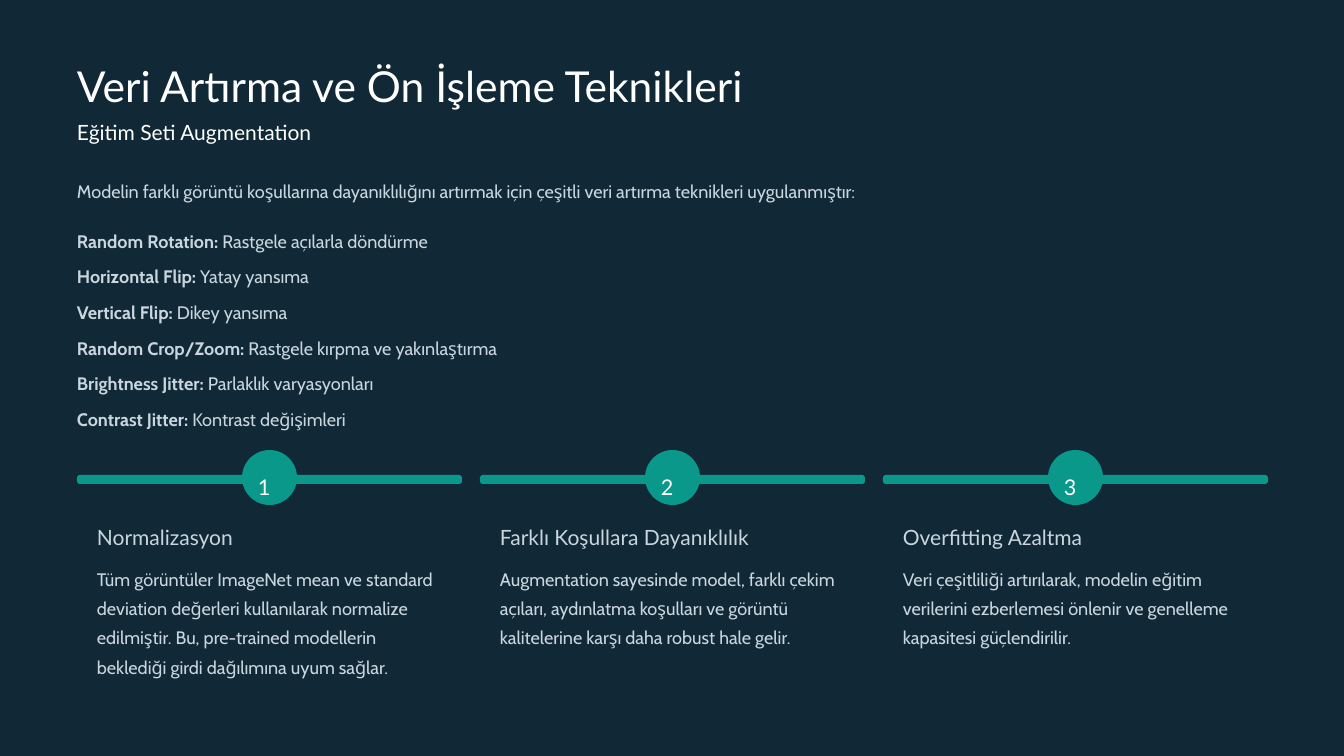
from pptx import Presentation
from pptx.dml.color import RGBColor
from pptx.enum.shapes import MSO_SHAPE
from pptx.util import Pt

PX = 914400 / 84
COLORS = {"night": "112836", "teal": "0A988B", "white": "FFFFFF", "mist": "CAD6DE"}
STYLES = {
    "title": ("Lato", 36.5, 46, "white"),
    "subtitle": ("Lato", 18, 23, "white"),
    "number": ("Lato", 18.5, 30, "white"),
    "heading": ("Lato", 18, 23, "mist"),
    "body": ("Cabin", 15.5, 25, "mist"),
}
TECHNIQUES = [
    ("Random Rotation:", " Rastgele açılarla döndürme"),
    ("Horizontal Flip:", " Yatay yansıma"),
    ("Vertical Flip:", " Dikey yansıma"),
    ("Random Crop/Zoom:", " Rastgele kırpma ve yakınlaştırma"),
    ("Brightness Jitter:", " Parlaklık varyasyonları"),
    ("Contrast Jitter:", " Kontrast değişimleri"),
]
STEPS = [
    ("Normalizasyon",
     "Tüm görüntüler ImageNet mean ve standard deviation değerleri kullanılarak "
     "normalize edilmiştir. Bu, pre-trained modellerin beklediği girdi dağılımına "
     "uyum sağlar."),
    ("Farklı Koşullara Dayanıklılık",
     "Augmentation sayesinde model, farklı çekim açıları, aydınlatma koşulları ve "
     "görüntü kalitelerine karşı daha robust hale gelir."),
    ("Overfitting Azaltma",
     "Veri çeşitliliği artırılarak, modelin eğitim verilerini ezberlemesi önlenir ve "
     "genelleme kapasitesi güçlendirilir."),
]


def color(name):
    """Return a palette colour."""
    return RGBColor.from_string(COLORS[name])


def emu(*lengths):
    """Turn pixel lengths into EMU."""
    return [round(length * PX) for length in lengths]


def add_text(slide, box, parts, style, wrap=False):
    """Write one paragraph; when it has two parts the first is bold."""
    font_name, size, leading, ink = STYLES[style]
    frame = slide.shapes.add_textbox(*emu(*box)).text_frame
    frame.word_wrap = wrap
    frame.margin_left = frame.margin_right = 0
    frame.margin_top = frame.margin_bottom = 0
    paragraph = frame.paragraphs[0]
    paragraph.line_spacing = Pt(leading)
    for index, part in enumerate(parts):
        run = paragraph.add_run()
        run.text = part
        run.font.name = font_name
        run.font.size = Pt(size)
        run.font.bold = len(parts) > 1 and index == 0
        run.font.color.rgb = color(ink)


def add_panel(slide, box, fill, rounding):
    """Draw a plain rounded rectangle."""
    panel = slide.shapes.add_shape(MSO_SHAPE.ROUNDED_RECTANGLE, *emu(*box))
    panel.adjustments[0] = rounding
    panel.shadow.inherit = False
    panel.fill.solid()
    panel.fill.fore_color.rgb = color(fill)
    panel.line.fill.background()


def add_header(slide, left, top, width):
    """Place the title, subtitle and introduction."""
    add_text(slide, (left, top, width, 54), ["Veri Artırma ve Ön İşleme Teknikleri"], "title")
    add_text(slide, (left, top + 61, width, 27), ["Eğitim Seti Augmentation"], "subtitle")
    introduction = ("Modelin farklı görüntü koşullarına dayanıklılığını artırmak için "
                    "çeşitli veri artırma teknikleri uygulanmıştır:")
    add_text(slide, (left, top + 116, width, 29), [introduction], "body")


def add_techniques(slide, left, top, width, height):
    """Spread the techniques evenly over the box."""
    for index, technique in enumerate(TECHNIQUES):
        row_top = top + index * height // len(TECHNIQUES)
        add_text(slide, (left, row_top, width, 29), technique, "body")


def add_step(slide, left, top, width, height, number, heading, body):
    """Place one numbered step with its bar, badge and text."""
    badge = 55
    badge_left = left + (width - badge) // 2
    add_panel(slide, (left, top + 28, width, height - 28), "night", 0.05)
    add_panel(slide, (left, top + 25, width, 9), "teal", 0.33)
    add_panel(slide, (badge_left, top, badge, badge), "teal", 0.5)
    add_text(slide, (badge_left + 16, top + 15, 22, 28), [str(number)], "number")
    add_text(slide, (left + 20, top + 73, width - 40, 27), [heading], "heading")
    add_text(slide, (left + 20, top + 111, width - 41, 117), [body], "body", wrap=True)


def add_steps(slide, left, top, width, height):
    """Lay the steps out in equal columns."""
    gap = 18
    column = (width - gap * (len(STEPS) - 1)) // len(STEPS)
    for index, (heading, body) in enumerate(STEPS):
        step_left = left + index * (column + gap)
        add_step(slide, step_left, top, column, height, index + 1, heading, body)


def main():
    """Build and save the slide."""
    presentation = Presentation()
    presentation.slide_width, presentation.slide_height = emu(1344, 756)
    slide = presentation.slides.add_slide(presentation.slide_layouts[6])
    slide.background.fill.solid()
    slide.background.fill.fore_color.rgb = color("night")
    add_header(slide, 77, 57, 1191)
    add_techniques(slide, 77, 223, 1191, 214)
    add_steps(slide, 77, 450, 1191, 249)
    presentation.save("out.pptx")


if __name__ == "__main__":
    main()
